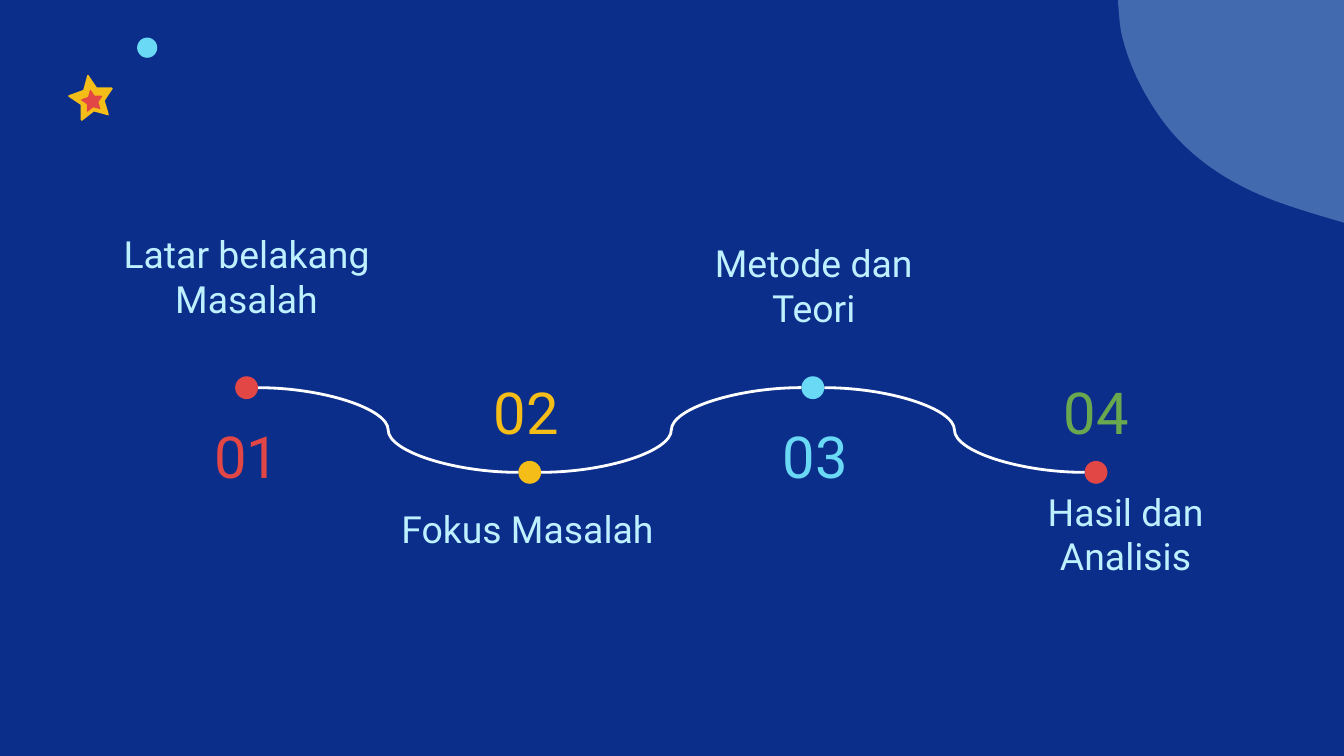
from lxml import etree
from pptx import Presentation
from pptx.dml.color import RGBColor
from pptx.enum.shapes import MSO_CONNECTOR, MSO_SHAPE
from pptx.enum.text import MSO_ANCHOR, PP_ALIGN
from pptx.oxml.ns import qn
from pptx.util import Inches, Pt

CURVE, OVAL = MSO_CONNECTOR.CURVE, MSO_SHAPE.OVAL
MIDDLE, BOTTOM, CENTER = MSO_ANCHOR.MIDDLE, MSO_ANCHOR.BOTTOM, PP_ALIGN.CENTER

COLORS = {
    "navy": "0C2E8B", "ice": "BDF1FF", "cyan": "6AD9F5", "gold": "F4BD18",
    "red": "E24645", "green": "6AA84F", "white": "FFFFFF",
}
FONT = "Roboto"
SLIDE_WIDTH = 10
SLIDE_HEIGHT = SLIDE_WIDTH * 9 / 16

STEPS = [
    {"number": "01", "color": "red", "dot": "red", "number_at": (1.38, 3.18),
     "label": "Latar belakang Masalah", "label_at": (0.68, 2.07), "anchor": BOTTOM},
    {"number": "02", "color": "gold", "dot": "gold", "number_at": (3.46, 2.85),
     "label": "Fokus Masalah", "label_at": (2.77, 3.72), "anchor": MIDDLE},
    {"number": "03", "color": "cyan", "dot": "cyan", "number_at": (5.61, 3.18),
     "label": "Metode dan Teori", "label_at": (4.9, 1.91), "anchor": MIDDLE},
    {"number": "04", "color": "green", "dot": "red", "number_at": (7.7, 2.85),
     "label": "Hasil dan Analisis", "label_at": (7.22, 3.76), "anchor": MIDDLE},
]
DOT_SIZE = 0.17
DOT_LEFT, DOT_STEP = 1.75, (8.07 - 1.75) / 3
DOT_TOPS = (2.8, 3.43)
LABEL_WIDTH, NUMBER_WIDTH, TEXT_HEIGHT = 2.31, 0.91, 0.42

BLOB_START = (8.32, -0.22)
BLOB_CURVES = [
    ((8.31, -0.07), (8.32, 0.08), (8.34, 0.23)),
    ((8.39, 0.46), (8.49, 0.67), (8.63, 0.87)),
    ((8.84, 1.17), (9.15, 1.37), (9.5, 1.5)),
    ((9.78, 1.6), (10.06, 1.67), (10.34, 1.76)),
]
BLOB_CORNER = (10.34, -0.22)

STAR_CENTER = (0.67, 0.73)
STAR = [
    (0.65, 0.56), (0.62, 0.67), (0.51, 0.71), (0.51, 0.72), (0.6, 0.78),
    (0.6, 0.89), (0.61, 0.9), (0.7, 0.83), (0.81, 0.86), (0.81, 0.85),
    (0.78, 0.75), (0.84, 0.66), (0.83, 0.65), (0.72, 0.65), (0.66, 0.56),
]
STARS = [((0.67, 0.73), 1, "gold"), ((0.68, 0.75), 0.48, "red")]


def rgb(name):
    return RGBColor.from_string(COLORS[name])


def paint(shape, color):
    shape.shadow.inherit = False
    shape.fill.solid()
    shape.fill.fore_color.rgb = rgb(color)
    shape.line.fill.background()
    return shape


def add_outline(slide, points, color):
    corners = [(Inches(x), Inches(y)) for x, y in points]
    builder = slide.shapes.build_freeform(*corners[0])
    builder.add_line_segments(corners[1:], close=True)
    return paint(builder.convert_to_shape(), color)


def bezier(start, first, second, end, pieces=16):
    for piece in range(1, pieces + 1):
        t = piece / pieces
        u = 1 - t
        yield tuple(u**3 * a + 3 * u * u * t * b + 3 * u * t * t * c + t**3 * d
                    for a, b, c, d in zip(start, first, second, end))


def add_dot(slide, left, top, size, color):
    paint(slide.shapes.add_shape(OVAL, *map(Inches, (left, top, size, size))), color)


def add_text(slide, text, place, width, size, color, anchor):
    box = slide.shapes.add_textbox(*map(Inches, (*place, width, TEXT_HEIGHT)))
    frame = box.text_frame
    margins = {f"margin_{side}": Inches(0.1) for side in ("left", "top", "right", "bottom")}
    for name, value in {"word_wrap": True, "vertical_anchor": anchor, **margins}.items():
        setattr(frame, name, value)
    paragraph = frame.paragraphs[0]
    paragraph.alignment = CENTER
    run = paragraph.add_run()
    run.text = text
    for name, value in {"name": FONT, "size": Pt(size)}.items():
        setattr(run.font, name, value)
    run.font.color.rgb = rgb(color)


def add_curve(slide, start, end):
    curve = slide.shapes.add_connector(CURVE, *map(Inches, (*start, *end)))
    curve.line.color.rgb = rgb("white")
    curve.line.width = Pt(1.5)
    etree.SubElement(curve._element.spPr, qn("a:effectLst"))


def add_decorations(slide):
    blob_points = [BLOB_START]
    for curve in BLOB_CURVES:
        blob_points.extend(bezier(blob_points[-1], *curve))
    blob = add_outline(slide, blob_points + [BLOB_CORNER], "ice")
    fill_color = blob._element.spPr.find(qn("a:solidFill"))[0]
    etree.SubElement(fill_color, qn("a:alpha"), val="31000")
    add_dot(slide, 1.02, 0.28, 0.15, "cyan")
    for center, scale, color in STARS:
        points = [tuple(c + (p - o) * scale for c, p, o in zip(center, point, STAR_CENTER))
                  for point in STAR]
        add_outline(slide, points, color)


def add_timeline(slide):
    dots = [(DOT_LEFT + i * DOT_STEP, DOT_TOPS[i % 2]) for i in range(len(STEPS))]
    for step, (left, top) in zip(STEPS, dots):
        add_dot(slide, left, top, DOT_SIZE, step["dot"])
        add_text(slide, step["label"], step["label_at"], LABEL_WIDTH, 20, "ice", step["anchor"])
        add_text(slide, step["number"], step["number_at"], NUMBER_WIDTH, 31, step["color"], MIDDLE)
    radius = DOT_SIZE / 2
    for (left, top), (next_left, next_top) in zip(dots, dots[1:]):
        add_curve(slide, (left + DOT_SIZE, top + radius), (next_left, next_top + radius))


def main():
    deck = Presentation()
    deck.slide_width, deck.slide_height = Inches(SLIDE_WIDTH), Inches(SLIDE_HEIGHT)
    slide = deck.slides.add_slide(deck.slide_layouts[6])
    slide.background.fill.solid()
    slide.background.fill.fore_color.rgb = rgb("navy")
    add_decorations(slide)
    add_timeline(slide)
    deck.save("out.pptx")


if __name__ == "__main__":
    main()
